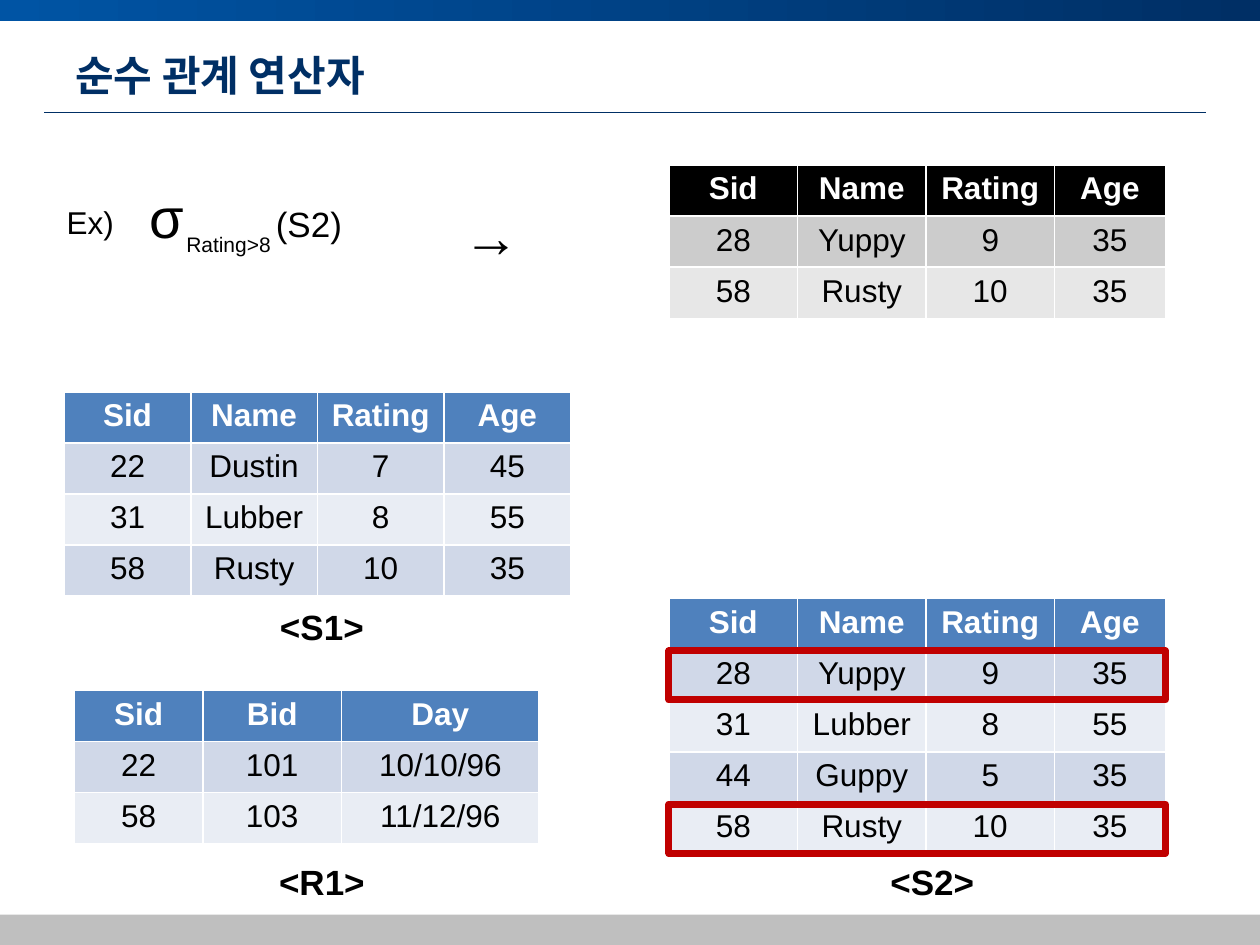
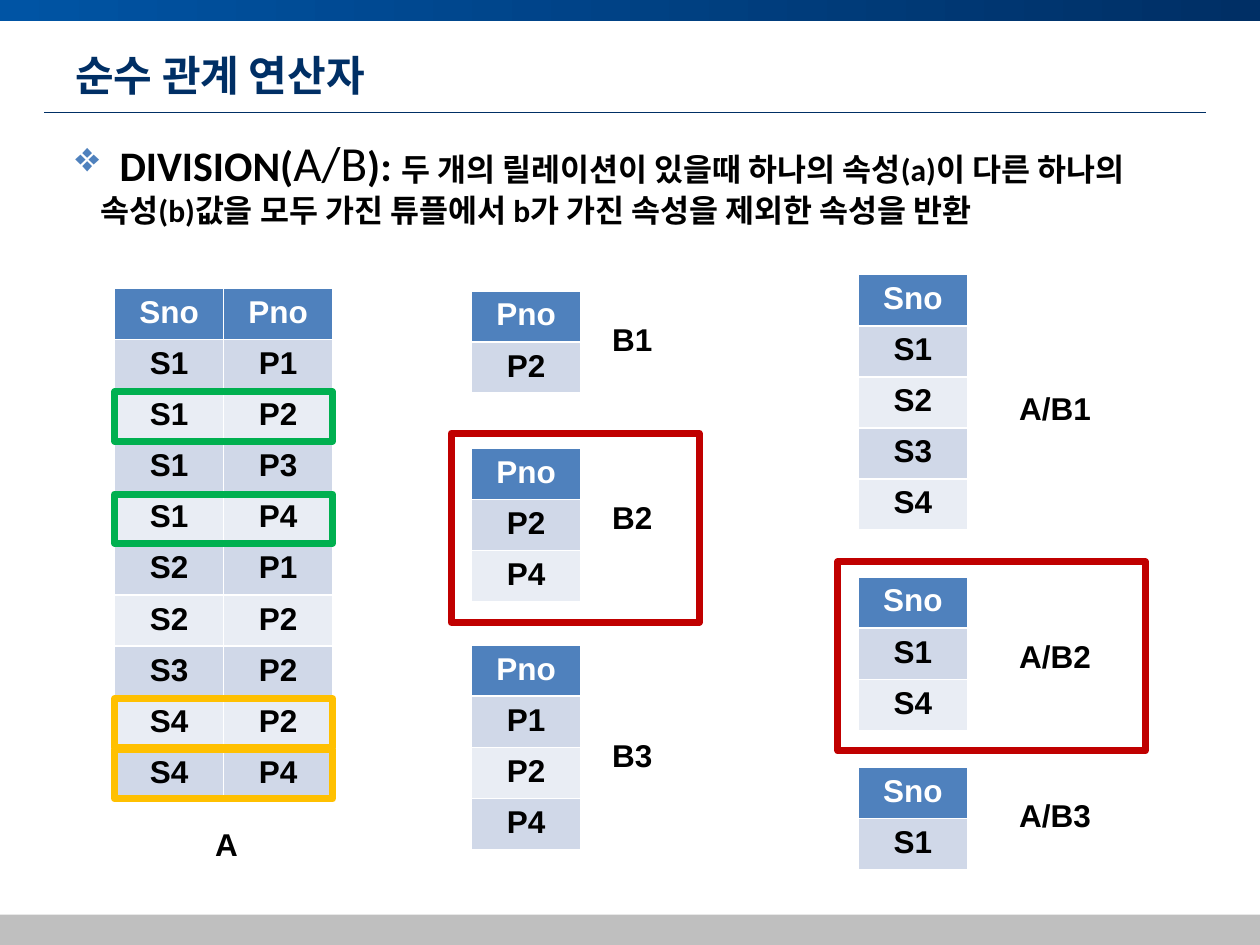
"""Builds two slides on the relational operators selection and division."""
import lxml.etree
import pptx
import pptx.dml.color
import pptx.enum.shapes
import pptx.enum.text
import pptx.oxml.ns
import pptx.util

WIDTH, HEIGHT = 10, 7.5
NAVY, BLUE, GRAY, BLACK, WHITE = "002F65", "0054A4", "BFBFBF", "000000", "FFFFFF"
RED, GREEN, AMBER, ACCENT = "C00000", "00B050", "FFC000", "4F81BD"
BLUE_TABLE = (ACCENT, "D0D8E8", "E9EDF4")
BLACK_TABLE = (BLACK, "CCCCCC", "E7E7E7")
KOREAN = "Noto Sans CJK KR"
TITLE = "순수 관계 연산자"
ROW = 29.2 / 72
MARK_HEIGHT = 0.39
SAILOR_COLUMNS = [1.02, 1.02, 1.02, 0.88]
KEY_COLUMN = 0.87
SAILOR_HEADER = "Sid Name Rating Age"

SELECTION_TABLES = [
    dict(left=5.31, top=4.75, columns=SAILOR_COLUMNS, marks={1: RED, 4: RED},
         rows=[SAILOR_HEADER, "28 Yuppy 9 35", "31 Lubber 8 55", "44 Guppy 5 35", "58 Rusty 10 35"]),
    dict(left=0.51, top=3.11, columns=[4.02 / 4] * 4,
         rows=[SAILOR_HEADER, "22 Dustin 7 45", "31 Lubber 8 55", "58 Rusty 10 35"]),
    dict(left=0.59, top=5.48, columns=[1.02, 1.1, 1.57],
         rows=["Sid Bid Day", "22 101 10/10/96", "58 103 11/12/96"]),
    dict(left=5.31, top=1.31, columns=SAILOR_COLUMNS, colors=BLACK_TABLE,
         rows=[SAILOR_HEADER, "28 Yuppy 9 35", "58 Rusty 10 35"]),
]
CAPTIONS = [("<S1>", 1.77, 4.76, 1.57), ("<S2>", 6.65, 6.78, 1.5), ("<R1>", 1.61, 6.78, 1.89)]
FORMULA = [
    ([(" ", 28), ("σ", 32)], (0.98, 1.4, 0.71, 0.64), True),
    ([("Rating>8", 12)], (1.38, 1.79, 0.88, 0.3), False),
    ([("(S2)", 20)], (2.09, 1.56, 1.22, 0.44), True),
    ([("Ex)", 18)], (0.43, 1.56, 1.73, 0.4), True),
    ([("→", 32)], (3.58, 1.55, 1.18, 0.64), True),
]

DIVISION_DEFINITION = [
    ("DIVISION(", 24, True), ("A/B", 28, False), ("): ", 24, True),
    ("두 개의 릴레이션이 있을때 하나의 속성(a)이 다른 하나의 속성(b)값을 모두 가진 튜플에서 "
     "b가 가진 속성을 제외한 속성을 반환", 18, True),
]
DIVIDEND = dict(
    left=0.91, top=2.29, columns=[1.73 / 2] * 2, bold=True,
    marks={2: GREEN, 4: GREEN, 8: AMBER, 9: AMBER},
    rows=["Sno Pno", "S1 P1", "S1 P2", "S1 P3", "S1 P4", "S2 P1", "S2 P2", "S3 P2", "S4 P2", "S4 P4"])
KEY_TABLE_STACKS = [
    dict(left=3.74, label_left=4.76, label_width=0.63, tables=[
        ("B1", 2.49, 2.31, "Pno P2"),
        ("B2", 3.9, 3.56, "Pno P2 P4"),
        ("B3", 5.79, 5.12, "Pno P1 P2 P4")]),
    dict(left=6.81, label_left=7.99, label_width=0.87, tables=[
        ("A/B1", 3.04, 2.18, "Sno S1 S2 S3 S4"),
        ("A/B2", 5.01, 4.58, "Sno S1 S4"),
        ("A/B3", 6.27, 6.09, "Sno S1")]),
]
DIVISION_FRAMES = [(3.58, 3.44, 1.97, 1.5), (6.65, 4.46, 2.44, 1.5)]


def color(value):
    return pptx.dml.color.RGBColor.from_string(value)


def inches(*values):
    return [pptx.util.Inches(value) for value in values]


def add_run(paragraph, text, size, bold=False, font="Arial", ink=BLACK):
    run = paragraph.add_run()
    run.text = text
    run.font.size = pptx.util.Pt(size)
    run.font.bold = bold
    run.font.color.rgb = color(ink)
    run.font.name = font
    if font != "Arial":
        east_asian = lxml.etree.SubElement(run.font._element, pptx.oxml.ns.qn("a:ea"))
        east_asian.set("typeface", KOREAN)
    return run


def add_text_box(slide, box, wrap=True, centered=False):
    frame = slide.shapes.add_textbox(*inches(*box)).text_frame
    frame.word_wrap = wrap
    paragraph = frame.paragraphs[0]
    if centered:
        paragraph.alignment = pptx.enum.text.PP_ALIGN.CENTER
    return paragraph


def add_rectangle(slide, box):
    shape = slide.shapes.add_shape(pptx.enum.shapes.MSO_SHAPE.RECTANGLE, *inches(*box))
    shape.shadow.inherit = False
    shape.line.fill.background()
    return shape


def add_frame(slide, box, ink):
    shape = add_rectangle(slide, box)
    shape.fill.background()
    shape.line.color.rgb = color(ink)
    shape.line.width = pptx.util.Pt(4)


def add_table(slide, left, top, columns, rows, colors=BLUE_TABLE, bold=False, marks=None):
    header, odd, even = colors
    box = (left, top, sum(columns), ROW * len(rows))
    table = slide.shapes.add_table(len(rows), len(columns), *inches(*box)).table
    for column, width in zip(table.columns, columns):
        column.width = pptx.util.Inches(width)
    for index, row in enumerate(rows):
        table.rows[index].height = pptx.util.Inches(ROW)
        fill = header if index == 0 else odd if index % 2 else even
        for cell, text in zip(table.rows[index].cells, row.split()):
            cell.fill.solid()
            cell.fill.fore_color.rgb = color(fill)
            paragraph = cell.text_frame.paragraphs[0]
            paragraph.alignment = pptx.enum.text.PP_ALIGN.CENTER
            add_run(paragraph, text, 18, bold or index == 0, ink=BLACK if index else WHITE)
    for index, ink in (marks or {}).items():
        add_frame(slide, (left, top + index * ROW + 0.01, sum(columns), MARK_HEIGHT), ink)


def add_slide(presentation):
    slide = presentation.slides.add_slide(presentation.slide_layouts[6])
    band = add_rectangle(slide, (0, 0, WIDTH, 0.17))
    band.fill.gradient()
    band.fill.gradient_angle = 0
    for stop, position, value in zip(band.fill.gradient_stops, (0, 1), (BLUE, NAVY)):
        stop.position = position
        stop.color.rgb = color(value)
    rule = slide.shapes.add_connector(
        pptx.enum.shapes.MSO_CONNECTOR.STRAIGHT, *inches(0.35, 0.89, 9.57, 0.89))
    rule.line.color.rgb = color(NAVY)
    rule.line.width = pptx.util.Pt(0.5)
    lxml.etree.SubElement(rule._element.spPr, pptx.oxml.ns.qn("a:effectLst"))
    footer = add_rectangle(slide, (0, HEIGHT - 0.24, WIDTH, 0.24))
    footer.fill.solid()
    footer.fill.fore_color.rgb = color(GRAY)
    title = slide.shapes.add_textbox(*inches(0.5, 0.3, 9, 0.58)).text_frame
    title.word_wrap = True
    title.vertical_anchor = pptx.enum.text.MSO_ANCHOR.MIDDLE
    add_run(title.paragraphs[0], TITLE, 24, True, KOREAN, NAVY)
    return slide


def add_bullet(paragraph, character, ink):
    properties = paragraph._p.get_or_add_pPr()
    properties.set("marL", str(pptx.util.Inches(0.2)))
    properties.set("indent", str(-pptx.util.Inches(0.2)))
    paragraph.space_before = pptx.util.Pt(5)
    bullet_color = lxml.etree.SubElement(properties, pptx.oxml.ns.qn("a:buClr"))
    lxml.etree.SubElement(bullet_color, pptx.oxml.ns.qn("a:srgbClr")).set("val", ink)
    lxml.etree.SubElement(properties, pptx.oxml.ns.qn("a:buChar")).set("char", character)


def build_selection(presentation):
    slide = add_slide(presentation)
    for table in SELECTION_TABLES:
        add_table(slide, **table)
    for text, left, top, width in CAPTIONS:
        add_run(add_text_box(slide, (left, top, width, 0.44), centered=True), text, 20, True)
    for runs, box, wrap in FORMULA:
        paragraph = add_text_box(slide, box, wrap)
        for text, size in runs:
            add_run(paragraph, text, size)


def build_division(presentation):
    slide = add_slide(presentation)
    definition = add_text_box(slide, (0.5, 1, 9, 5.74))
    add_bullet(definition, "❖", ACCENT)
    gap = add_run(definition, " ", 24, True, "Calibri")
    gap.font._element.set("spc", "540")
    for text, size, bold in DIVISION_DEFINITION:
        add_run(definition, text, size, bold, "Calibri")
    add_table(slide, **DIVIDEND)
    add_run(add_text_box(slide, (1.61, 6.5, 0.63, 0.4)), "A", 18, True)
    for stack in KEY_TABLE_STACKS:
        for label, label_top, top, rows in stack["tables"]:
            add_table(slide, stack["left"], top, [KEY_COLUMN], rows.split(), bold=True)
            box = (stack["label_left"], label_top, stack["label_width"], 0.4)
            add_run(add_text_box(slide, box), label, 18, True)
    for box in DIVISION_FRAMES:
        add_frame(slide, box, RED)


presentation = pptx.Presentation()
presentation.slide_width, presentation.slide_height = inches(WIDTH, HEIGHT)
build_selection(presentation)
build_division(presentation)
presentation.save("out.pptx")
